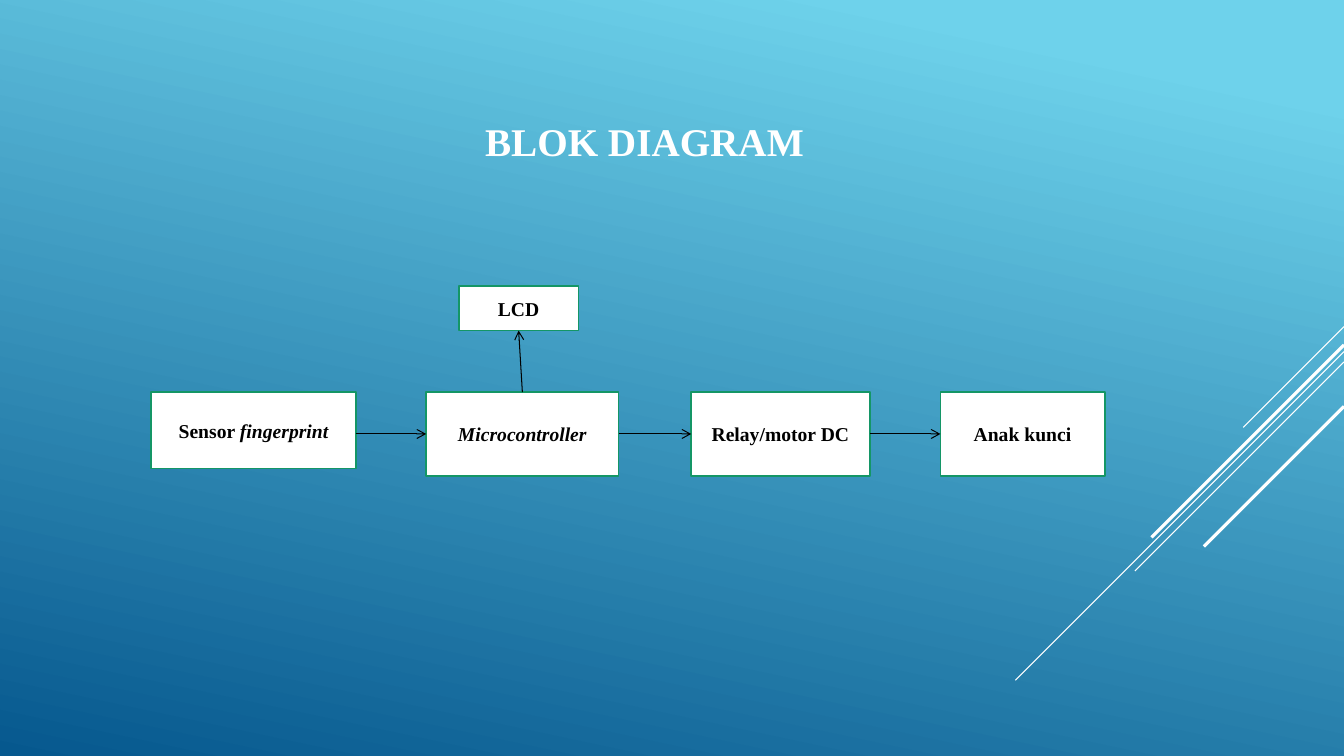
from dataclasses import dataclass

from pptx import Presentation
from pptx import util as u
from pptx.dml.color import RGBColor
from pptx.enum import shapes, text
from pptx.oxml.ns import qn
from lxml import etree


@dataclass
class Theme:
    font: str = "Times New Roman"
    head: int = 28
    body: int = 14
    white: str = "FFFFFF"
    black: str = "000000"
    green: str = "149666"
    sky: str = "6ED2EB"
    deep: str = "06588E"


theme = Theme()


def style(para, size, color):
    para.alignment = text.PP_ALIGN.CENTER
    for run in para.runs:
        run.font.name = theme.font
        run.font.size = u.Pt(size)
        run.font.bold = True
        run.font.color.rgb = RGBColor.from_string(color)


def draw_line(x1, y1, x2, y2, color, width):
    line = slide.shapes.add_connector(
        shapes.MSO_CONNECTOR.STRAIGHT, u.Cm(x1), u.Cm(y1), u.Cm(x2), u.Cm(y2))
    line.line.color.rgb = RGBColor.from_string(color)
    line.line.width = u.Pt(width)
    etree.SubElement(line._element.spPr, qn("a:effectLst"))
    return line


deck = Presentation()
wide = 33.87
deck.slide_width, deck.slide_height = u.Cm(wide), u.Cm(19.05)
slide = deck.slides.add_slide(deck.slide_layouts[5])

fill = slide.background.fill
fill.gradient()
fill.gradient_angle = 258
for stop, (place, color) in zip(fill.gradient_stops, [(0.1, theme.sky), (1, theme.deep)]):
    stop.position = place
    stop.color.rgb = RGBColor.from_string(color)

for top, size, width in [
    (8.23, 2.54, 0.75),
    (8.86, 8.28, 0.75),
    (9.12, 5.27, 0.75),
    (8.69, 4.85, 2.25),
    (10.24, 3.53, 2.25),
]:
    draw_line(wide, top, wide - size, top + size, theme.white, width)

title = slide.shapes.title
title.left, title.top, title.width, title.height = u.Cm(4.39), u.Cm(2.51), u.Cm(23.7), u.Cm(1.75)
title.text_frame.text = "BLOK DIAGRAM"
title.text_frame.vertical_anchor = text.MSO_ANCHOR.BOTTOM
style(title.text_frame.paragraphs[0], theme.head, theme.white)

row = 9.88
boxes = {}
for name, left, top, width, height, parts in [
    ("sensor", 3.81, row, 5.16, 1.93, [("Sensor ", False), ("fingerprint", True)]),
    ("micro", 10.74, row, 4.85, 2.11, [("Microcontroller", True)]),
    ("relay", 17.42, row, 4.5, 2.11, [("Relay/motor DC", False)]),
    ("key", 23.7, row, 4.14, 2.11, [("Anak kunci", False)]),
    ("lcd", 11.56, 7.21, 3.02, 1.12, [("LCD", False)]),
]:
    box = slide.shapes.add_shape(
        shapes.MSO_SHAPE.RECTANGLE, u.Cm(left), u.Cm(top), u.Cm(width), u.Cm(height))
    box.shadow.inherit = False
    box.fill.solid()
    box.fill.fore_color.rgb = RGBColor.from_string(theme.white)
    box.line.color.rgb = RGBColor.from_string(theme.green)
    box.line.width = u.Pt(1.25)
    box.text_frame.word_wrap = True
    box.text_frame.vertical_anchor = text.MSO_ANCHOR.MIDDLE
    para = box.text_frame.paragraphs[0]
    for words, slant in parts:
        run = para.add_run()
        run.text = words
        run.font.italic = slant
    style(para, theme.body, theme.black)
    boxes[name] = box

mid = row + 2.11 / 2
for start, out, end, into in [
    ("sensor", None, "micro", 1),
    ("micro", 3, "relay", 1),
    ("relay", 3, "key", 1),
    ("micro", 0, "lcd", 2),
]:
    edge = (boxes[start].left + boxes[start].width) / u.Cm(1)
    arrow = draw_line(edge, mid, edge + 1, mid, theme.black, 0.75)
    if out is not None:
        arrow.begin_connect(boxes[start], out)
    arrow.end_connect(boxes[end], into)
    etree.SubElement(arrow.line._get_or_add_ln(), qn("a:tailEnd"), type="arrow")

deck.save("out.pptx")
